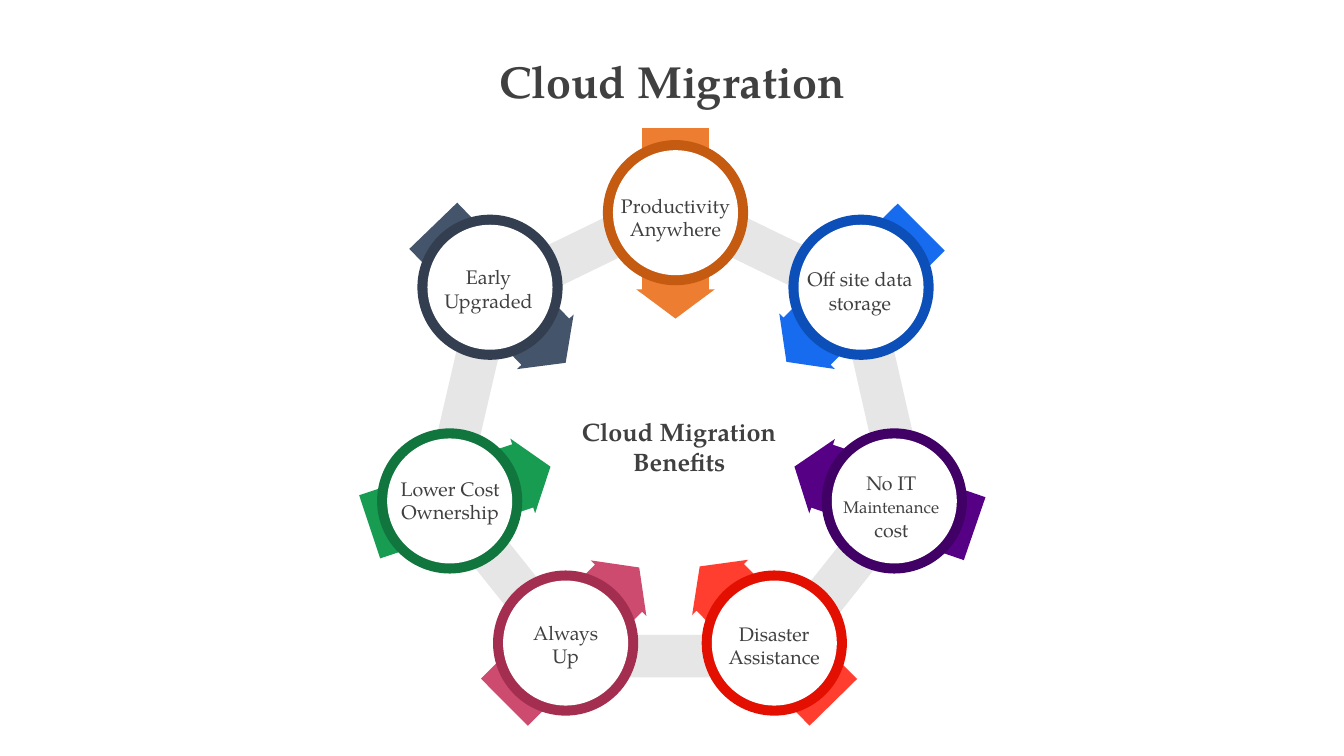
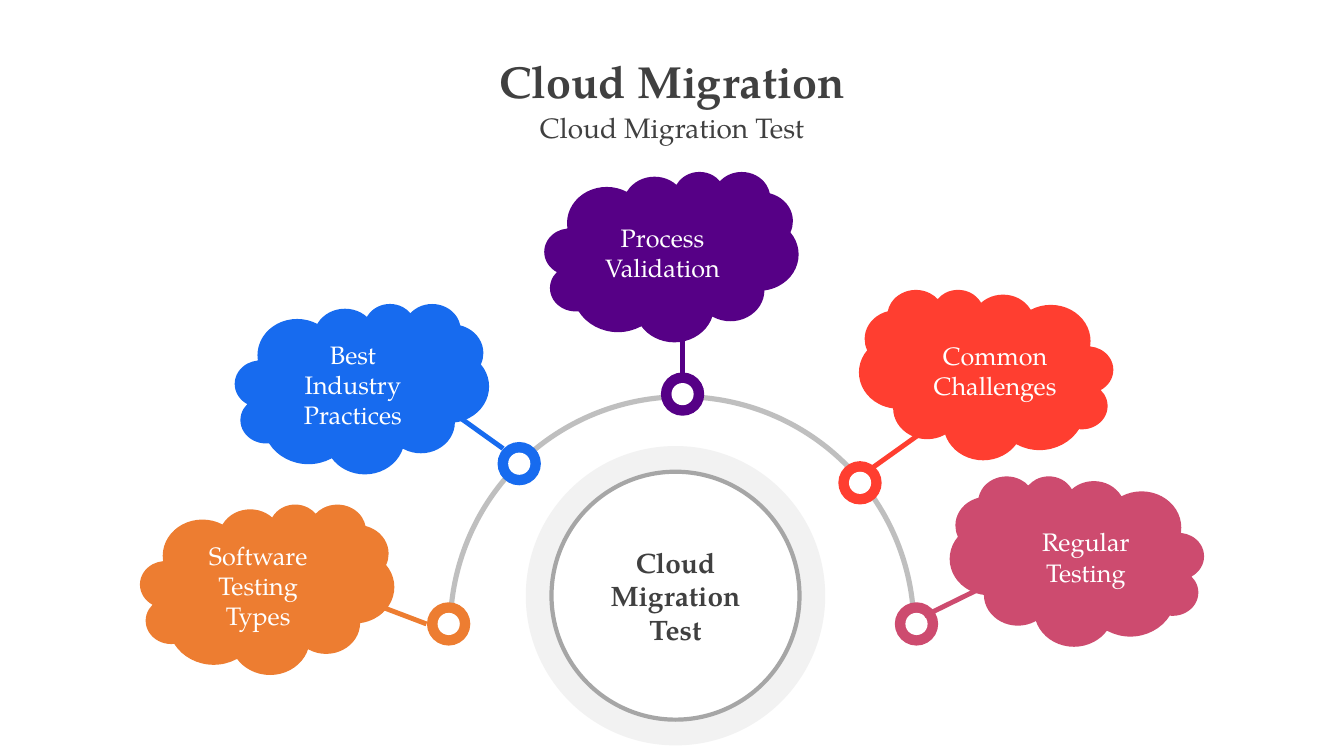
from math import cos, radians, sin

from pptx import Presentation
from pptx.dml.color import RGBColor
from pptx.enum.shapes import MSO_CONNECTOR, MSO_SHAPE
from pptx.enum.text import MSO_ANCHOR, PP_ALIGN
from pptx.oxml.ns import qn
from pptx.util import Inches, Pt

FONT = "TeX Gyre Pagella"
INK, WHITE, RING = "404040", "FFFFFF", "E6E6E6"
ORANGE, BLUE, PURPLE, RED, PINK = "ED7D31", "176BEF", "560086", "FF3E30", "CD4B6F"
GREEN, SLATE = "179C52", "44546A"

TITLE_FORMAT = {"size": Pt(32), "bold": True}
SUBTITLE_FORMAT = {"size": Pt(20)}
LABEL_FORMAT = {"size": Pt(14)}
SMALL_FORMAT = {"size": Pt(12)}
CENTRE_FORMAT = {"size": Pt(18), "bold": True}
HUB_FORMAT = {"size": Pt(20), "bold": True}
CLOUD_FORMAT = {"size": Pt(18)}

TITLE = "Cloud Migration"
TITLE_BOX = (0, 0.48, 13.33, 0.64)

HEPTAGON = [(6.7, 2.05), (4.87, 2.94), (4.41, 4.92), (5.68, 6.51),
            (7.72, 6.51), (8.98, 4.92), (8.53, 2.94)]
ARROW = [(-0.29, -0.33), (-1.89, -0.33), (-1.89, 0.33), (-0.29, 0.33),
         (-0.29, 0.39), (0, 0), (-0.29, -0.39)]
DISC, DISC_HOLE = 1.44, 1.24
BENEFITS = [
    {"text": ["Productivity Anywhere"], "centre": (6.7, 2.11), "tip": (6.7, 3.16),
     "angle": 90, "fill": ORANGE, "rim": "C55A11", "label": (5.98, 1.87, 1.44, 0.57)},
    {"text": ["Off site data storage"], "centre": (8.54, 2.85), "tip": (7.8, 3.59),
     "angle": 135, "fill": BLUE, "rim": "0D4FB8", "label": (7.81, 2.6, 1.44, 0.57)},
    {"text": ["No IT ", "Maintenance", " cost"], "centre": (8.87, 4.97), "tip": (7.88, 4.63),
     "angle": 199, "fill": PURPLE, "rim": "400065", "label": (8.12, 4.62, 1.44, 0.81)},
    {"text": ["Disaster Assistance"], "centre": (7.68, 6.38), "tip": (6.94, 5.62),
     "angle": 225.5, "fill": RED, "rim": "E30F00", "label": (6.96, 6.12, 1.44, 0.57)},
    {"text": ["Always Up"], "centre": (5.61, 6.38), "tip": (6.34, 5.63),
     "angle": 315, "fill": PINK, "rim": "A42E4F", "label": (5.07, 6.11, 1.08, 0.57)},
    {"text": ["Lower Cost Ownership"], "centre": (4.46, 4.97), "tip": (5.46, 4.63),
     "angle": 341.6, "fill": GREEN, "rim": "11753E", "label": (3.78, 4.68, 1.37, 0.57)},
    {"text": ["Early Upgraded"], "centre": (4.86, 2.85), "tip": (5.61, 3.6),
     "angle": 46, "fill": SLATE, "rim": "333F50", "label": (4.16, 2.58, 1.37, 0.57)},
]

CLOUD_SIZE = (2.52, 1.69)
DOT, DOT_HOLE = 0.43, 0.22
TESTS = [
    {"text": "Software Testing Types", "fill": ORANGE, "cloud": (1.39, 5),
     "dot": (4.45, 6.19), "link": ((3.44, 5.89), (4.23, 6.19)), "flip": False},
    {"text": "Best Industry Practices", "fill": BLUE, "cloud": (2.33, 3.01),
     "dot": (5.15, 4.6), "link": ((4.5, 4.1), (4.99, 4.45)), "flip": False},
    {"text": "Common Challenges", "fill": RED, "cloud": (8.52, 2.87),
     "dot": (8.53, 4.79), "link": ((9.13, 4.3), (8.64, 4.65)), "flip": True},
    {"text": "Regular Testing", "fill": PINK, "cloud": (9.42, 4.72),
     "dot": (9.09, 6.19), "link": ((9.78, 5.81), (9.17, 6.11)), "flip": True},
    {"text": "Process Validation", "fill": PURPLE, "cloud": (5.4, 1.7),
     "dot": (6.77, 3.91), "link": ((6.77, 3.26), (6.77, 3.73)), "flip": False},
]


def colour(value):
    return RGBColor.from_string(value)


def inches(values):
    return [Inches(value) for value in values]


def paint(shape, fill=None, line=None, width=1):
    shape.shadow.inherit = False
    if fill:
        shape.fill.solid()
        shape.fill.fore_color.rgb = colour(fill)
    else:
        shape.fill.background()
    if line:
        shape.line.color.rgb = colour(line)
        shape.line.width = Pt(width)
    else:
        shape.line.fill.background()


def write(shape, spans, ink=INK, anchor=MSO_ANCHOR.TOP):
    frame = shape.text_frame
    frame.word_wrap = True
    frame.vertical_anchor = anchor
    para = frame.paragraphs[0]
    para.alignment = PP_ALIGN.CENTER
    for text, formats in spans:
        span = para.add_run()
        span.text = text
        span.font.name = FONT
        span.font.color.rgb = colour(ink)
        for name, value in formats.items():
            setattr(span.font, name, value)


def add_text(page, place, spans):
    box = page.shapes.add_textbox(*inches(place))
    write(box, spans)


def add_preset(page, kind, place, **style):
    shape = page.shapes.add_shape(kind, *inches(place))
    paint(shape, **style)
    return shape


def add_circle(page, centre, size, **style):
    place = (centre[0] - size / 2, centre[1] - size / 2, size, size)
    return add_preset(page, MSO_SHAPE.OVAL, place, **style)


def add_outline(page, points, **style):
    corners = [inches(point) for point in points]
    builder = page.shapes.build_freeform(*corners[0])
    builder.add_line_segments(corners[1:], close=True)
    paint(builder.convert_to_shape(), **style)


def add_link(page, start, end, ink):
    link = page.shapes.add_connector(MSO_CONNECTOR.STRAIGHT, *inches(start + end))
    link.line.color.rgb = colour(ink)
    link.line.width = Pt(3.5)
    properties = link.element.spPr
    properties.append(properties.makeelement(qn("a:effectLst"), {}))


def turn(points, tip, angle):
    across, down = cos(radians(angle)), sin(radians(angle))
    return [(tip[0] + x * across - y * down, tip[1] + x * down + y * across)
            for x, y in points]


def add_page(deck):
    page = deck.slides.add_slide(deck.slide_layouts[6])
    add_text(page, TITLE_BOX, [(TITLE, TITLE_FORMAT)])
    return page


def build_benefits(deck):
    page = add_page(deck)
    add_outline(page, HEPTAGON, line=RING, width=30.25)
    for benefit in BENEFITS:
        arrow = turn(ARROW, benefit["tip"], benefit["angle"])
        add_outline(page, arrow, fill=benefit["fill"])
    for benefit in BENEFITS:
        add_circle(page, benefit["centre"], DISC, fill=benefit["rim"])
        add_circle(page, benefit["centre"], DISC_HOLE, fill=WHITE)
        spans = [(text, SMALL_FORMAT if text == "Maintenance" else LABEL_FORMAT)
                 for text in benefit["text"]]
        add_text(page, benefit["label"], spans)
    add_text(page, (5.63, 4.08, 2.21, 0.71), [("Cloud Migration Benefits", CENTRE_FORMAT)])


def build_tests(deck):
    page = add_page(deck)
    hub_centre = (6.7, 5.91)
    add_circle(page, hub_centre, 2.97, fill="F2F2F2")
    hub = add_circle(page, hub_centre, 2.46, fill=WHITE, line="A6A6A6", width=3)
    write(hub, [("Cloud Migration Test", HUB_FORMAT)], anchor=MSO_ANCHOR.MIDDLE)
    arc = add_preset(page, MSO_SHAPE.BLOCK_ARC, (4.44, 3.91, 4.65, 4.65), fill="BFBFBF")
    for index, value in enumerate((108, 214.14, 0.011)):
        arc.adjustments[index] = value
    for test in TESTS:
        add_circle(page, test["dot"], DOT, fill=test["fill"])
        add_circle(page, test["dot"], DOT_HOLE, fill=WHITE)
    for test in TESTS:
        add_link(page, *test["link"], test["fill"])
        cloud = add_preset(page, MSO_SHAPE.CLOUD_CALLOUT, test["cloud"] + CLOUD_SIZE,
                           fill=test["fill"])
        for index, value in enumerate((0.05, -0.03)):
            cloud.adjustments[index] = value
        if test["flip"]:
            cloud.element.spPr.find(qn("a:xfrm")).set("flipH", "1")
        write(cloud, [(test["text"], CLOUD_FORMAT)], WHITE, MSO_ANCHOR.MIDDLE)
    add_text(page, (0, 1.05, 13.33, 0.44), [("Cloud Migration Test", SUBTITLE_FORMAT)])


def main():
    deck = Presentation()
    deck.slide_width, deck.slide_height = Inches(13.33), Inches(7.5)
    build_benefits(deck)
    build_tests(deck)
    deck.save("out.pptx")


if __name__ == "__main__":
    main()
